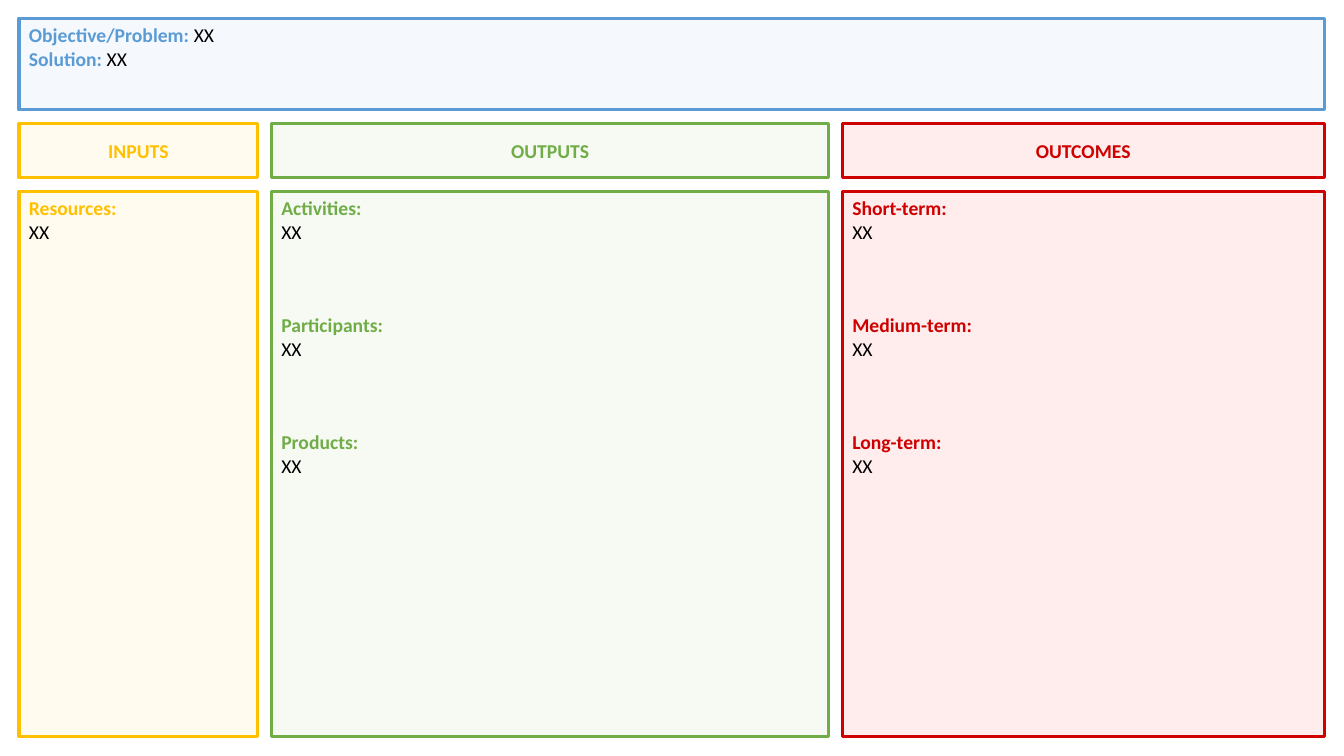
from lxml import etree
from pptx import Presentation, util as u
from pptx.dml.color import RGBColor
from pptx.enum import shapes, text
from pptx.oxml.ns import qn

GAP, LEFT, TOP = 0.34, 0.48, 0.46
WIDE, BAND, HEAD, BODY = 32.89, 2.31, 1.37, 13.74
BLUE = ("5B9BD5", "DEEBF7")
COLS = [
    (6.02, ("FFC000", "FFF2CC"), "INPUTS", ["Resources:"]),
    (14.05, ("70AD47", "E2F0D9"), "OUTPUTS",
     ["Activities:", "Participants:", "Products:"]),
    (12.14, ("CF0000", "FFC2C2"), "OUTCOMES",
     ["Short-term:", "Medium-term:", "Long-term:"]),
]


def hue(code):
    """Turn a hex string into a colour."""
    return RGBColor.from_string(code)


def panel(slide, box, tint, anchor="TOP"):
    """Draw a bordered, lightly tinted rectangle and return its text frame."""
    rect = slide.shapes.add_shape(shapes.MSO_SHAPE.RECTANGLE, *map(u.Cm, box))
    rect.shadow.inherit = False
    rect.fill.solid()
    rect.fill.fore_color.rgb = hue(tint[1])
    shade = rect.fill._xPr.find(qn("a:solidFill"))[0]
    etree.SubElement(shade, qn("a:alpha"), val="30000")
    rect.line.color.rgb = hue(tint[0])
    rect.line.width = u.Pt(2.25)
    frame = rect.text_frame
    frame.word_wrap = True
    frame.vertical_anchor = text.MSO_ANCHOR[anchor]
    return frame


def line(frame, runs, first, align="LEFT", before=0):
    """Write one paragraph from pairs of words and colour; coloured is bold."""
    para = frame.paragraphs[0] if first else frame.add_paragraph()
    para.alignment = text.PP_ALIGN[align]
    para.space_before = u.Pt(before)
    for words, code in runs:
        run = para.add_run()
        run.text = words
        look = {"name": "Calibri", "size": u.Pt(14), "bold": code != "000000"}
        for key, val in look.items():
            setattr(run.font, key, val)
        run.font.color.rgb = hue(code)


def banner(slide, box):
    """Place the problem and solution band."""
    frame = panel(slide, box, BLUE)
    for i, label in enumerate(["Objective/Problem: ", "Solution: "]):
        line(frame, [(label, BLUE[0]), ("XX", "000000")], i == 0)


def column(slide, box, tint, title, labels):
    """Place a heading box and the body box below it."""
    x, y, w, h = box
    head = panel(slide, (x, y, w, HEAD), tint, "MIDDLE")
    line(head, [(title, tint[0])], True, "CENTER")
    drop = HEAD + GAP
    body = panel(slide, (x, y + drop, w, h - drop), tint)
    for i, label in enumerate(labels):
        line(body, [(label, tint[0])], i == 0, before=50 if i else 0)
        line(body, [("XX", "000000")], False)


def main():
    """Build the logic model slide."""
    deck = Presentation()
    deck.slide_width, deck.slide_height = u.Cm(33.87), u.Cm(19.05)
    slide = deck.slides.add_slide(deck.slide_layouts[6])
    banner(slide, (LEFT, TOP, WIDE, BAND))
    x, y = LEFT, TOP + BAND + GAP
    for w, tint, title, labels in COLS:
        column(slide, (x, y, w, HEAD + GAP + BODY), tint, title, labels)
        x += w + GAP
    deck.save("out.pptx")


if __name__ == "__main__":
    main()
